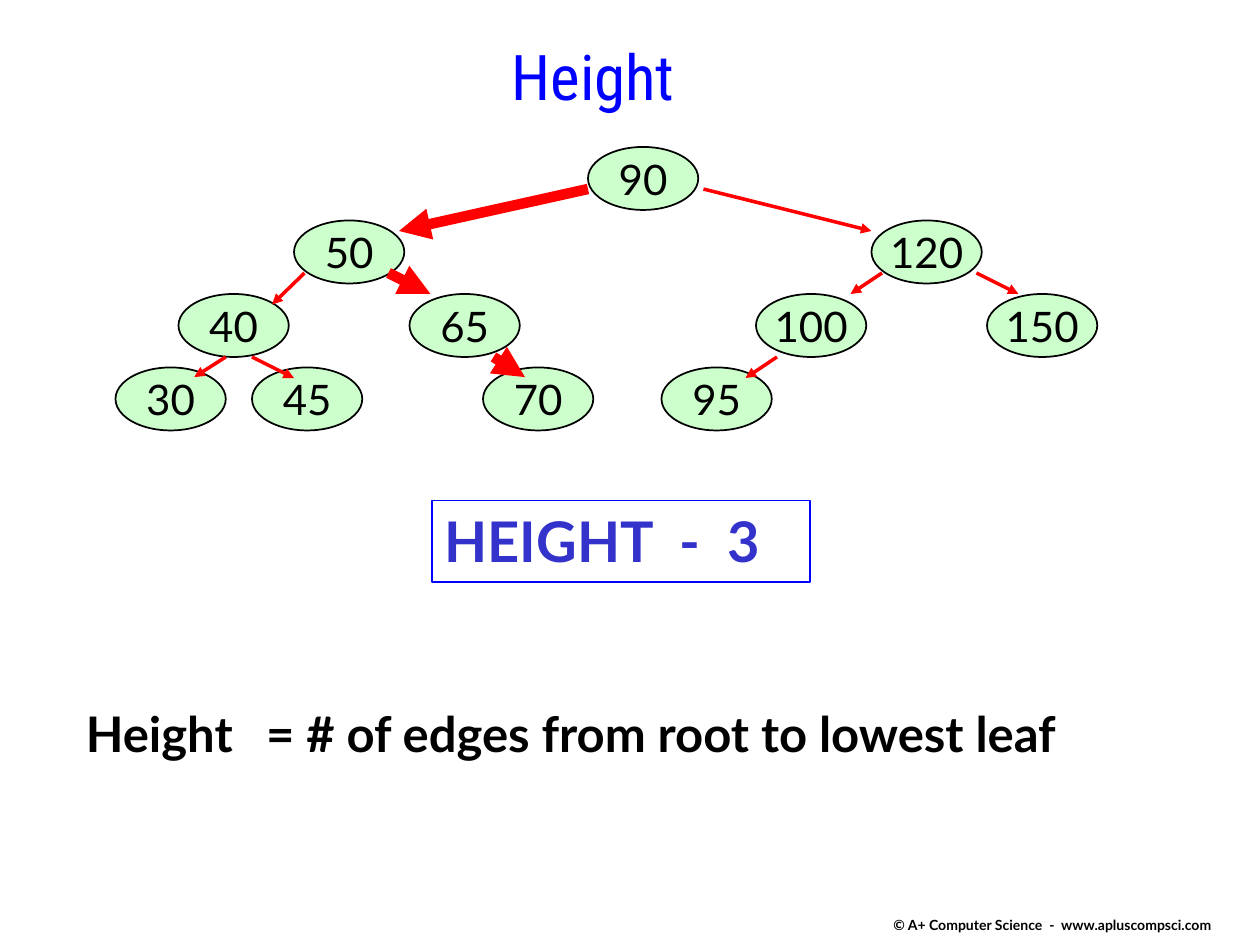
from lxml import etree
from pptx import Presentation
from pptx import util as u
from pptx.dml.color import RGBColor
from pptx.enum import shapes, text
from pptx.oxml import ns

BLACK, BLUE, RED = "000000", "0000FF", "FF0000"
NODE_SIZE = (63, 36)
LEVEL_TOP, LEVEL_GAP = 84, 42
THIN, THICK = 2, 6

# For each tree level: value and left edge
LEVELS = [
    [("90", 336)],
    [("50", 168), ("120", 498)],
    [("40", 102), ("65", 234), ("100", 432), ("150", 564)],
    [("30", 66), ("45", 144), ("70", 276), ("95", 378)],
]

# Start, end and line width
EDGES = [
    ((336, 108), (228, 132), THICK),
    ((402, 108), (498, 132), THIN),
    ((174, 156), (155.5, 174), THIN),
    ((222, 156), (246, 168), THICK),
    ((504, 156), (486, 168), THIN),
    ((558, 156), (582, 168), THIN),
    ((129, 204), (111, 215.5), THIN),
    ((144, 204), (168, 216), THIN),
    ((282, 204), (300, 215.5), THICK),
    ((444, 204), (426, 216), THIN),
]


def color(hex_string):
    return RGBColor.from_string(hex_string)


def add_element(parent, tag, **attributes):
    return etree.SubElement(parent, ns.qn(tag), attributes)


class TreeSlide:
    def __init__(self, slide, font="Lato"):
        self.slide = slide
        self.font = font

    def set_text(self, shape, wording, size, hex_string, font=None, bold=False,
                 center=True, middle=False, wrap=False, spacing=None, tab=None):
        """Fill a shape with one styled paragraph; tab is a left tab stop."""
        frame = shape.text_frame
        frame.word_wrap = wrap
        frame.vertical_anchor = (
            text.MSO_ANCHOR.MIDDLE if middle else text.MSO_ANCHOR.TOP)
        paragraph = frame.paragraphs[0]
        paragraph.text = wording
        paragraph.alignment = (
            text.PP_ALIGN.CENTER if center else text.PP_ALIGN.LEFT)
        if tab:
            properties = paragraph._p.get_or_add_pPr()
            tabs = add_element(properties, "a:tabLst")
            add_element(tabs, "a:tab", pos=str(u.Pt(tab)), algn="l")
        if spacing:
            paragraph.line_spacing = spacing
        paragraph.font.name = font or self.font
        paragraph.font.size = u.Pt(size)
        paragraph.font.bold = bold
        paragraph.font.color.rgb = color(hex_string)

    def add_text(self, box, wording, size, hex_string, **style):
        shape = self.slide.shapes.add_textbox(*map(u.Pt, box))
        self.set_text(shape, wording, size, hex_string, **style)

    def add_shape(self, kind, box, line, fill=None):
        shape = self.slide.shapes.add_shape(kind, *map(u.Pt, box))
        shape.shadow.inherit = False
        if fill:
            shape.fill.solid()
            shape.fill.fore_color.rgb = color(fill)
        else:
            shape.fill.background()
        shape.line.color.rgb = color(line)
        shape.line.width = u.Pt(1)
        return shape

    def add_node(self, left, top, value):
        node = self.add_shape(shapes.MSO_SHAPE.OVAL, (left, top, *NODE_SIZE),
                              BLACK, "CCFFCC")
        self.set_text(node, value, 24, BLACK, middle=True)

    def add_answer(self, box, wording):
        answer = self.add_shape(shapes.MSO_SHAPE.RECTANGLE, box, BLUE)
        self.set_text(answer, wording, 32, "3333CC", bold=True, center=False,
                      wrap=True)

    def add_arrow(self, start, end, width):
        arrow = self.slide.shapes.add_connector(
            shapes.MSO_CONNECTOR.STRAIGHT, *map(u.Pt, (*start, *end)))
        arrow.line.color.rgb = color(RED)
        arrow.line.width = u.Pt(width)
        add_element(arrow.line._get_or_add_ln(), "a:tailEnd", type="triangle")
        add_element(arrow._element.spPr, "a:effectLst")


def main():
    presentation = Presentation()
    presentation.slide_width = u.Pt(720)
    presentation.slide_height = u.Pt(540)
    slide = TreeSlide(
        presentation.slides.add_slide(presentation.slide_layouts[6]))

    slide.add_text((487.5, 518.5, 228, 20),
                   "© A+ Computer Science  -  www.apluscompsci.com",
                   8, BLACK, bold=True, middle=True)
    slide.add_answer((247, 286, 216, 46.8), "HEIGHT  -  3")
    slide.add_text((144, 18, 390, 36), "Height", 36, BLUE,
                   font="Roboto Condensed")

    for level, nodes in enumerate(LEVELS):
        for value, left in nodes:
            slide.add_node(left, LEVEL_TOP + level * LEVEL_GAP, value)
    for start, end, width in EDGES:
        slide.add_arrow(start, end, width)

    slide.add_text((42, 381.6, 660, 51),
                   "Height\t= # of edges from root to lowest leaf",
                   28, BLACK, bold=True, center=False, wrap=True,
                   spacing=1.5, tab=103)
    presentation.save("out.pptx")


if __name__ == "__main__":
    main()
